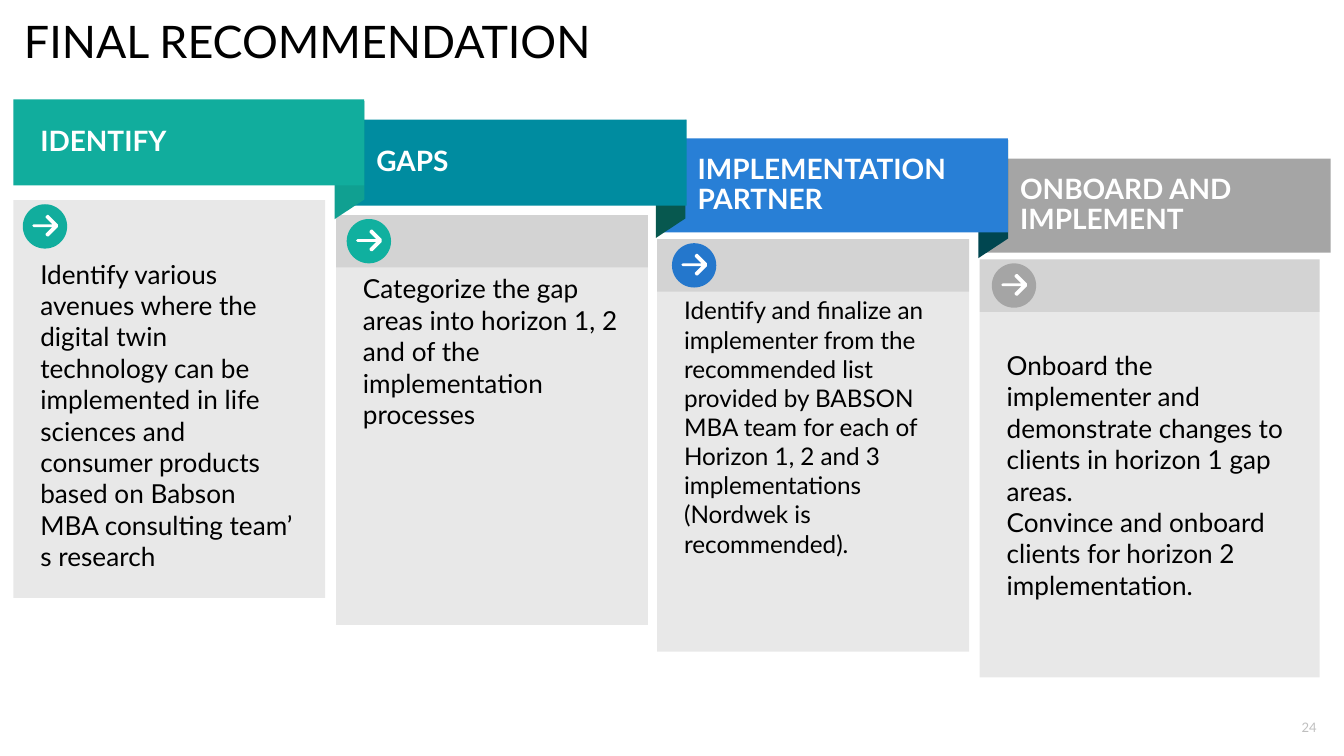
from lxml import etree
from pptx import Presentation
from pptx.dml.color import RGBColor
from pptx.enum.shapes import MSO_SHAPE
from pptx.enum.text import MSO_ANCHOR, PP_ALIGN
from pptx.oxml.ns import qn
from pptx.util import Inches, Pt

WHITE = RGBColor(0xFF, 0xFF, 0xFF)
BLACK = RGBColor(0x00, 0x00, 0x00)
PALE_GRAY = RGBColor(0xBF, 0xBF, 0xBF)
GRAY = RGBColor(0xA5, 0xA5, 0xA5)
GREEN = RGBColor(0x11, 0xAD, 0x9D)
MINT = RGBColor(0x10, 0xB0, 0x9F)
TEAL = RGBColor(0x00, 0x8C, 0xA0)
BLUE = RGBColor(0x28, 0x7F, 0xD6)
DEEP_BLUE = RGBColor(0x24, 0x77, 0xCC)
FOLD_GREEN = RGBColor(0x10, 0xA0, 0x91)
FOLD_DARK = RGBColor(0x07, 0x58, 0x4F)
FOLD_NAVY = RGBColor(0x00, 0x46, 0x50)


def add_box(shapes, kind, box, fill, alpha=None):
    sp = shapes.add_shape(kind, *[Inches(v) for v in box])
    sp.shadow.inherit = False
    sp.line.fill.background()
    sp.fill.solid()
    sp.fill.fore_color.rgb = fill
    if alpha is not None:
        clr = sp._element.spPr.find(qn("a:solidFill"))[0]
        etree.SubElement(clr, qn("a:alpha")).set("val", str(alpha * 1000))
    return sp


def set_text(sp, text, size, color=BLACK, bold=False, align=PP_ALIGN.LEFT,
             anchor=MSO_ANCHOR.MIDDLE, insets=(0.1, 0.05, 0.1, 0.05), spacing=None):
    tf = sp.text_frame
    tf.word_wrap = True
    tf.vertical_anchor = anchor
    tf.margin_left, tf.margin_top, tf.margin_right, tf.margin_bottom = [
        Inches(v) for v in insets]
    for i, line in enumerate(text.split("\n")):
        p = tf.paragraphs[0] if i == 0 else tf.add_paragraph()
        p.alignment = align
        if spacing:
            p.line_spacing = spacing
        r = p.add_run()
        r.text = line
        r.font.name = "Lato"
        r.font.size = Pt(size)
        r.font.bold = bold
        r.font.color.rgb = color


# 16:9 slide
prs = Presentation()
prs.slide_width, prs.slide_height = Inches(10), Inches(10 * 9 / 16)
s = prs.slides.add_slide(prs.slide_layouts[6])
shapes = s.shapes

# Columns: heading, its top, height, inset and color; panel left, top, width, height;
# body text, size and top inset; fold color; icon position and color
columns = [
    dict(head="IDENTIFY", head_top=0.74, head_h=0.64, inset=0.2, color=GREEN,
         panel=(0.1, 1.49, 2.32, 2.96), size=14, body_top=0.43, fold=None,
         icon=(0.17, 1.52), icon_color=GREEN,
         body="Identify various avenues where the digital twin technology can be "
              "implemented in life sciences and consumer products based on Babson "
              "MBA consulting team’ s research"),
    dict(head="GAPS", head_top=0.89, head_h=0.64, inset=0.3, color=TEAL,
         panel=(2.5, 1.6, 2.32, 3.05), size=14, body_top=0.43, fold=FOLD_GREEN,
         icon=(2.58, 1.63), icon_color=MINT,
         body="Categorize the gap areas into horizon 1, 2 and of the "
              "implementation processes"),
    dict(head="IMPLEMENTATION PARTNER", head_top=1.03, head_h=0.7, inset=0.3, color=BLUE,
         panel=(4.89, 1.78, 2.32, 3.07), size=13, body_top=0.42, fold=FOLD_DARK,
         icon=(5, 1.81), icon_color=DEEP_BLUE,
         body="Identify and finalize an implementer from the recommended list "
              "provided by BABSON MBA team for each of Horizon 1, 2 and 3 "
              "implementations (Nordwek is recommended)."),
    dict(head="ONBOARD AND IMPLEMENT", head_top=1.18, head_h=0.7, inset=0.3, color=GRAY,
         panel=(7.29, 1.93, 2.53, 3.11), size=14, body_top=0.67, fold=FOLD_NAVY,
         icon=(7.38, 1.96), icon_color=GRAY,
         body="Onboard the implementer and demonstrate changes to clients in "
              "horizon 1 gap areas.\n"
              "Convince and onboard clients for horizon 2 implementation."),
]

# Panels, headings and folds, from right to left so each heading overlaps the next
for col in reversed(columns):
    left, top, width, height = col["panel"]
    sp = add_box(shapes, MSO_SHAPE.RECTANGLE, col["panel"], BLACK, alpha=9)
    set_text(sp, col["body"], col["size"], anchor=MSO_ANCHOR.TOP,
             insets=(0.2, col["body_top"], 0.2, 0.2))
    sp = add_box(shapes, MSO_SHAPE.RECTANGLE,
                 (left, col["head_top"], 2.61, col["head_h"]), col["color"])
    set_text(sp, col["head"], 15, WHITE, bold=True, spacing=0.9,
             insets=(col["inset"], 0.25, 0.2, 0.25))
    if col["fold"] is not None:
        add_box(shapes, MSO_SHAPE.RECTANGLE, (left, top, width, 0.39), BLACK, alpha=9)
        sp = add_box(shapes, MSO_SHAPE.PARALLELOGRAM,
                     (left - 0.34, col["head_top"] + 0.19, 0.88, 0.22), col["fold"])
        sp.adjustments[0] = 0.66
        sp.rotation = 270
        sp._element.spPr.find(qn("a:xfrm")).set("flipH", "1")

# Round arrow icons
arrow = [(0.11, 0.16), (0.1, 0.15), (0.1, 0.14), (0.15, 0.09), (0.01, 0.09),
         (0, 0.08), (0.01, 0.07), (0.15, 0.07), (0.1, 0.02), (0.1, 0.01),
         (0.11, 0), (0.12, 0), (0.19, 0.07), (0.19, 0.09), (0.12, 0.16)]
for col in columns:
    x, y = col["icon"]
    add_box(shapes, MSO_SHAPE.OVAL, (x, y, 0.33, 0.33), col["icon_color"])
    points = [(Inches(x + 0.07 + dx), Inches(y + 0.08 + dy)) for dx, dy in arrow]
    builder = shapes.build_freeform(*points[0])
    builder.add_line_segments(points[1:])
    sp = builder.convert_to_shape()
    sp.shadow.inherit = False
    sp.line.fill.background()
    sp.fill.solid()
    sp.fill.fore_color.rgb = WHITE

# Title
sp = add_box(shapes, MSO_SHAPE.RECTANGLE, (0.08, 0.06, 4.92, 0.49), WHITE)
sp.line.color.rgb = WHITE
sp.line.width = Pt(2)
set_text(sp, "FINAL RECOMMENDATION", 24)

# Page number
sp = shapes.add_textbox(Inches(9.58), Inches(5.26), Inches(0.32), Inches(0.3))
set_text(sp, "24", 7, PALE_GRAY, align=PP_ALIGN.CENTER, insets=(0.07, 0.04, 0.07, 0.04))

prs.save("out.pptx")
